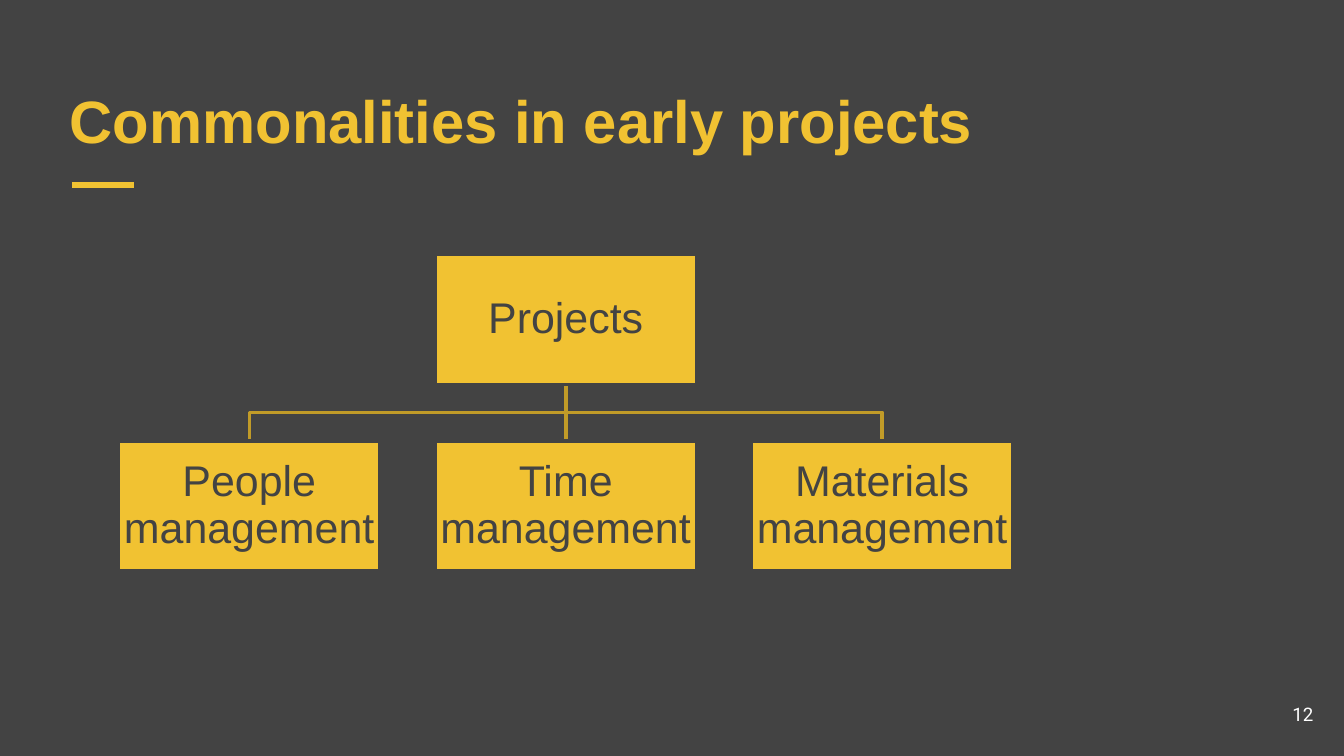
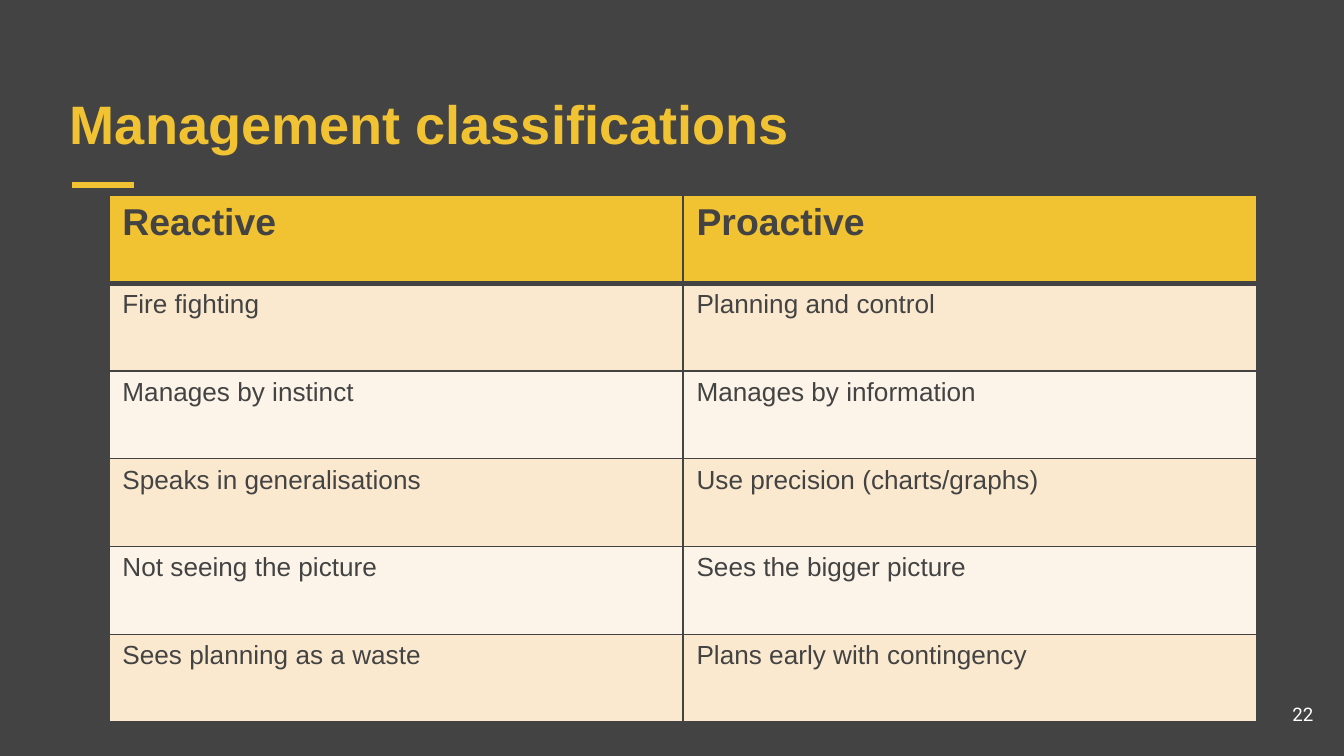
from dataclasses import dataclass

from lxml import etree
from pptx import Presentation
from pptx.dml.color import RGBColor
from pptx.enum.shapes import MSO_CONNECTOR, MSO_SHAPE
from pptx.enum.text import MSO_ANCHOR, MSO_AUTO_SIZE, PP_ALIGN
from pptx.oxml.ns import qn
from pptx.util import Cm, Pt

STRAIGHT = MSO_CONNECTOR.STRAIGHT
RECTANGLE = MSO_SHAPE.RECTANGLE
TOP, MIDDLE, BOTTOM = MSO_ANCHOR.TOP, MSO_ANCHOR.MIDDLE, MSO_ANCHOR.BOTTOM
LEFT, CENTER, RIGHT = PP_ALIGN.LEFT, PP_ALIGN.CENTER, PP_ALIGN.RIGHT
SIDE_TOP, SIDE_BOTTOM = 0, 2
TITLE_ONLY = 5


@dataclass(frozen=True)
class Theme:
    # Colours
    ground: str = "434343"
    accent: str = "F1C232"
    branch: str = "C19B28"
    band_dark: str = "FAE9CE"
    band_light: str = "FCF4E8"
    number: str = "FFFFFF"
    # Fonts and sizes in points
    font: str = "Arial"
    number_font: str = "Roboto"
    box_size: int = 23
    header_size: int = 20
    cell_size: int = 14
    number_size: int = 10
    # Line widths in points
    thin: int = 1
    medium: int = 2
    thick: int = 3


def rgb(colour):
    return RGBColor.from_string(colour)


class Deck:
    def __init__(self, theme):
        self.theme = theme
        self.prs = Presentation()
        self.prs.slide_width, self.prs.slide_height = Cm(25.4), Cm(14.29)
        ground = self.prs.slide_master.background.fill
        ground.solid()
        ground.fore_color.rgb = rgb(theme.ground)
        self.slide = None

    def add_slide(self, title, title_size, number):
        """Start a slide with its title, short rule and page number."""
        theme = self.theme
        self.slide = self.prs.slides.add_slide(self.prs.slide_layouts[TITLE_ONLY])
        self.connector((1.37, 3.5), (2.54, 3.5), theme.accent, theme.thick)

        heading = self.slide.shapes.title
        heading.left, heading.top = Cm(1.07), Cm(1.27)
        heading.width, heading.height = Cm(23.24), Cm(1.91)
        self.text(heading.text_frame, title, title_size, theme.accent,
                  bold=True, anchor=BOTTOM, inset=0.25)

        page = self.slide.shapes.add_textbox(Cm(23.55), Cm(12.95), Cm(1.52), Cm(1.09))
        self.text(page.text_frame, number, theme.number_size, theme.number,
                  font=theme.number_font, align=RIGHT, anchor=MIDDLE, inset=0.25)

    def text(self, frame, words, size, colour, font=None, bold=False,
             align=LEFT, anchor=TOP, inset=0.25):
        frame.word_wrap = True
        frame.auto_size = MSO_AUTO_SIZE.NONE
        frame.vertical_anchor = anchor
        frame.margin_left = frame.margin_right = Cm(inset)
        frame.margin_top = frame.margin_bottom = Cm(inset)
        return self.run(frame.paragraphs[0], words, size, colour, font, bold, align)

    def run(self, paragraph, words, size, colour, font=None, bold=False, align=LEFT):
        paragraph.alignment = align
        run = paragraph.add_run()
        run.text = words
        run.font.name = font or self.theme.font
        run.font.size = Pt(size)
        run.font.bold = bold
        run.font.color.rgb = rgb(colour)
        return paragraph

    def stroke(self, shape, colour, width):
        shape.line.color.rgb = rgb(colour)
        shape.line.width = Pt(width)

    def connector(self, start, end, colour, width):
        line = self.slide.shapes.add_connector(
            STRAIGHT, *(Cm(value) for value in (*start, *end)))
        self.stroke(line, colour, width)
        etree.SubElement(line._element.spPr, qn("a:effectLst"))
        return line

    def polyline(self, points, colour, width):
        start, *rest = [(Cm(x), Cm(y)) for x, y in points]
        builder = self.slide.shapes.build_freeform(*start)
        builder.add_line_segments(rest, close=False)
        outline = builder.convert_to_shape()
        outline.fill.background()
        outline.shadow.inherit = False
        self.stroke(outline, colour, width)

    def box(self, words, left, top, width, height):
        theme = self.theme
        box = self.slide.shapes.add_shape(
            RECTANGLE, Cm(left), Cm(top), Cm(width), Cm(height))
        box.shadow.inherit = False
        box.fill.solid()
        box.fill.fore_color.rgb = rgb(theme.accent)
        self.stroke(box, theme.ground, theme.medium)
        paragraph = self.text(box.text_frame, words, theme.box_size, theme.ground,
                              align=CENTER, anchor=MIDDLE, inset=0.05)
        paragraph.line_spacing = 0.9
        return box

    def cell_borders(self, cell, widths):
        properties = cell._tc.get_or_add_tcPr()
        for tag, width in widths.items():
            edge = etree.SubElement(properties, qn(f"a:{tag}"), w=str(Pt(width)))
            fill = etree.SubElement(edge, qn("a:solidFill"))
            etree.SubElement(fill, qn("a:srgbClr"), val=self.theme.ground)

    def table(self, rows, left, top, column_width, row_height):
        theme = self.theme
        columns = len(rows[0])
        table = self.slide.shapes.add_table(
            len(rows), columns, Cm(left), Cm(top),
            Cm(column_width * columns), Cm(row_height * len(rows))).table
        table.horz_banding = False
        for column in table.columns:
            column.width = Cm(column_width)
        for r, row in enumerate(rows):
            table.rows[r].height = Cm(row_height)
            header = r == 0
            band = theme.band_dark if r % 2 else theme.band_light
            for c, words in enumerate(row):
                cell = table.cell(r, c)
                # The heavy rule lies between the header and the first row
                self.cell_borders(cell, {
                    "lnL": theme.thin,
                    "lnR": theme.thin,
                    "lnT": theme.thick if r == 1 else theme.thin,
                    "lnB": theme.thick if header else theme.thin})
                cell.fill.solid()
                cell.fill.fore_color.rgb = rgb(theme.accent if header else band)
                self.run(cell.text_frame.paragraphs[0], words,
                         theme.header_size if header else theme.cell_size,
                         theme.ground, bold=header)


def projects_slide(deck):
    theme = deck.theme
    deck.add_slide("Commonalities in early projects", 32, "12")
    areas = ["People management", "Time management", "Materials management"]
    width, height = 4.95, 2.47
    root_top, area_top = 4.8, 8.33
    lefts = [2.24 + 5.98 * i for i in range(len(areas))]
    centres = [left + width / 2 for left in lefts]
    root_bottom = root_top + height
    bus = (root_bottom + area_top) / 2

    # Branches lie behind the boxes
    trunk = centres[1]
    for centre in (centres[2], centres[0]):
        deck.polyline([(trunk, root_bottom), (trunk, bus),
                       (centre, bus), (centre, area_top)],
                      theme.branch, theme.medium)
    stem = deck.connector((trunk, root_bottom), (trunk, area_top),
                          theme.branch, theme.medium)

    # Root and its three areas
    projects = deck.box("Projects", lefts[1], root_top, width, height)
    area_boxes = [deck.box(area, left, area_top, width, height)
                  for area, left in zip(areas, lefts)]
    stem.begin_connect(projects, SIDE_BOTTOM)
    stem.end_connect(area_boxes[1], SIDE_TOP)


def classifications_slide(deck):
    deck.add_slide("Management classifications", 29, "22")
    deck.table([
        ("Reactive", "Proactive"),
        ("Fire fighting", "Planning and control"),
        ("Manages by instinct", "Manages by information"),
        ("Speaks in generalisations", "Use precision (charts/graphs)"),
        ("Not seeing the picture", "Sees the bigger picture"),
        ("Sees planning as a waste", "Plans early with contingency"),
    ], left=2.06, top=3.69, column_width=10.85, row_height=1.66)


def main():
    deck = Deck(Theme())
    projects_slide(deck)
    classifications_slide(deck)
    deck.prs.save("out.pptx")


if __name__ == "__main__":
    main()
